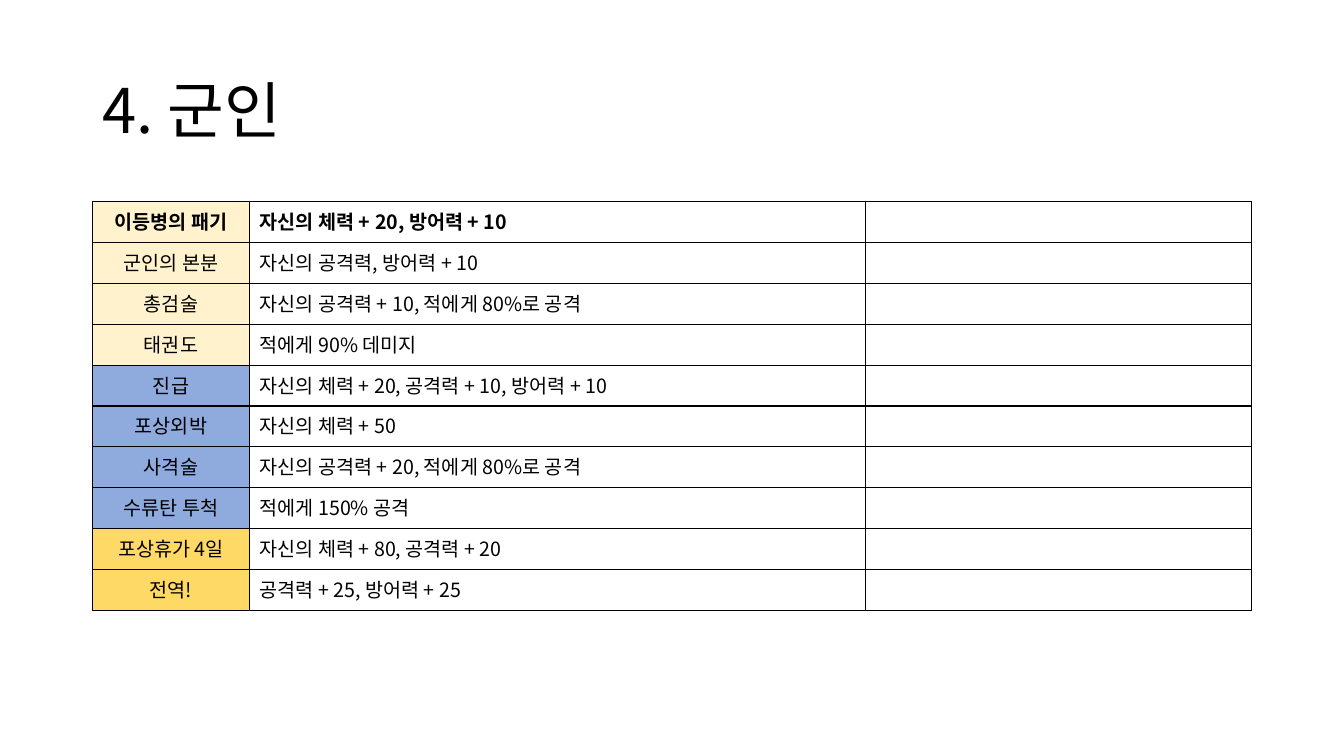
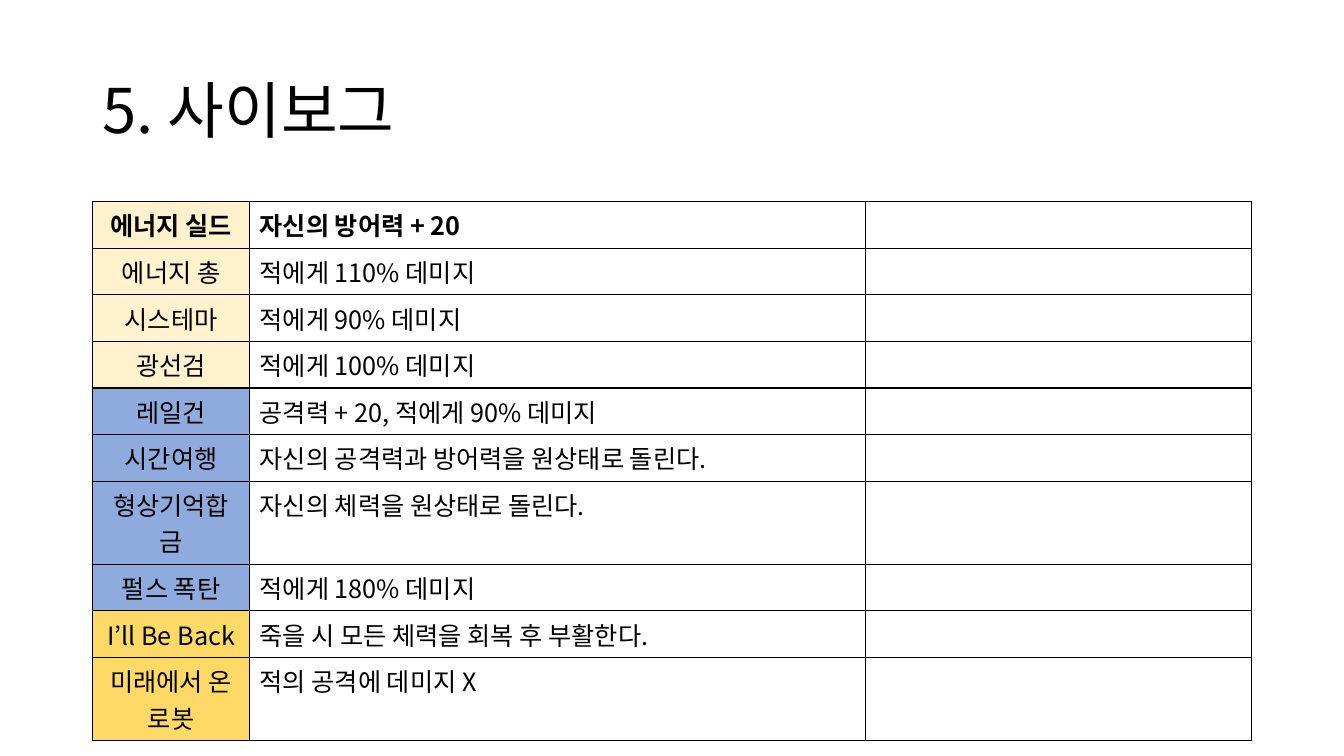
import pptx
import pptx.dml.color
import pptx.enum.text
import pptx.oxml
import pptx.oxml.ns
import pptx.util
from lxml import etree

Cm, Pt = pptx.util.Cm, pptx.util.Pt
qn = pptx.oxml.ns.qn
ALIGN = pptx.enum.text.PP_ALIGN

FONT = "Noto Sans CJK KR"
BLACK, WHITE = "000000", "FFFFFF"
TIERS = ["FFF2CC"] * 4 + ["8FAADC"] * 4 + ["FFD966"] * 2
LEFT, WIDTH = 2.33, 29.21
COLS = [3.96, 15.52, 9.73]
ROW = 1.03

SLIDES = [
    {"title": "4. 군인", "size": 14, "cards": [
        ("이등병의 패기", "자신의 체력 + 20, 방어력 + 10"),
        ("군인의 본분", "자신의 공격력, 방어력 + 10"),
        ("총검술", "자신의 공격력 + 10, 적에게 80%로 공격"),
        ("태권도", "적에게 90% 데미지"),
        ("진급", "자신의 체력 + 20, 공격력 + 10, 방어력 + 10"),
        ("포상외박", "자신의 체력 + 50"),
        ("사격술", "자신의 공격력 + 20, 적에게 80%로 공격"),
        ("수류탄 투척", "적에게 150% 공격"),
        ("포상휴가 4일", "자신의 체력 + 80, 공격력 + 20"),
        ("전역!", "공격력 + 25, 방어력 + 25"),
    ]},
    {"title": "5. 사이보그", "size": 18, "cards": [
        ("에너지 실드", "자신의 방어력 + 20"),
        ("에너지 총", "적에게 110% 데미지"),
        ("시스테마", "적에게 90% 데미지"),
        ("광선검", "적에게 100% 데미지"),
        ("레일건", "공격력 + 20, 적에게 90% 데미지"),
        ("시간여행", "자신의 공격력과 방어력을 원상태로 돌린다."),
        ("형상기억합금", "자신의 체력을 원상태로 돌린다."),
        ("펄스 폭탄", "적에게 180% 데미지"),
        ("I’ll Be Back", "죽을 시 모든 체력을 회복 후 부활한다."),
        ("미래에서 온 로봇", "적의 공격에 데미지 X"),
    ]},
]


def style(item, values):
    for name, value in values.items():
        setattr(item, name, value)


def paint(fill, color):
    fill.solid()
    fill.fore_color.rgb = pptx.dml.color.RGBColor.from_string(color)


def write(para, text, size, bold=False):
    run = para.add_run()
    run.text = text
    style(run.font, {"name": FONT, "size": Pt(size), "bold": bold})
    paint(run.font.fill, BLACK)
    props = run.font._element
    east = etree.SubElement(props, qn("a:ea"))
    east.set("typeface", FONT)


def frame(cell):
    """Draw a thin black line on all four sides of the cell."""
    props = cell._tc.get_or_add_tcPr()
    for place, side in enumerate("LRTB"):
        line = pptx.oxml.parse_xml(
            f'<a:ln{side} {pptx.oxml.ns.nsdecls("a")} w="12700"><a:solidFill>'
            f'<a:srgbClr val="{BLACK}"/></a:solidFill></a:ln{side}>')
        props.insert(place, line)


def add_title(slide, text):
    title = slide.shapes.title
    style(title, {"left": Cm(LEFT), "top": Cm(1.01),
                  "width": Cm(WIDTH), "height": Cm(3.68)})
    style(title.text_frame, {
        "vertical_anchor": pptx.enum.text.MSO_ANCHOR.MIDDLE,
        "auto_size": pptx.enum.text.MSO_AUTO_SIZE.NONE,
        "word_wrap": True})
    para = title.text_frame.paragraphs[0]
    style(para, {"alignment": ALIGN.LEFT, "line_spacing": 0.9})
    write(para, text, 44)


def add_cards(slide, cards, size):
    table = slide.shapes.add_table(
        len(cards), len(COLS), Cm(LEFT), Cm(5.08),
        Cm(WIDTH), Cm(ROW * len(cards))).table
    style(table, {"first_row": False, "horz_banding": False})
    for col, width in zip(table.columns, COLS):
        col.width = Cm(width)
    for r, (card, tier) in enumerate(zip(cards, TIERS)):
        table.rows[r].height = Cm(ROW)
        fills = (tier, WHITE, WHITE)
        for c, (text, fill) in enumerate(zip((*card, ""), fills)):
            cell = table.cell(r, c)
            paint(cell.fill, fill)
            frame(cell)
            para = cell.text_frame.paragraphs[0]
            para.alignment = ALIGN.LEFT if c else ALIGN.CENTER
            if text:
                write(para, text, size, bold=r == 0)
            else:
                # An empty cell keeps the row low only with its own text size
                end = etree.SubElement(para._p, qn("a:endParaRPr"))
                end.set("sz", str(size * 100))


def main():
    deck = pptx.Presentation()
    style(deck, {"slide_width": Cm(33.87), "slide_height": Cm(19.05)})
    for data in SLIDES:
        slide = deck.slides.add_slide(deck.slide_layouts[5])
        paint(slide.background.fill, WHITE)
        add_title(slide, data["title"])
        add_cards(slide, data["cards"], data["size"])
    deck.save("out.pptx")


if __name__ == "__main__":
    main()
